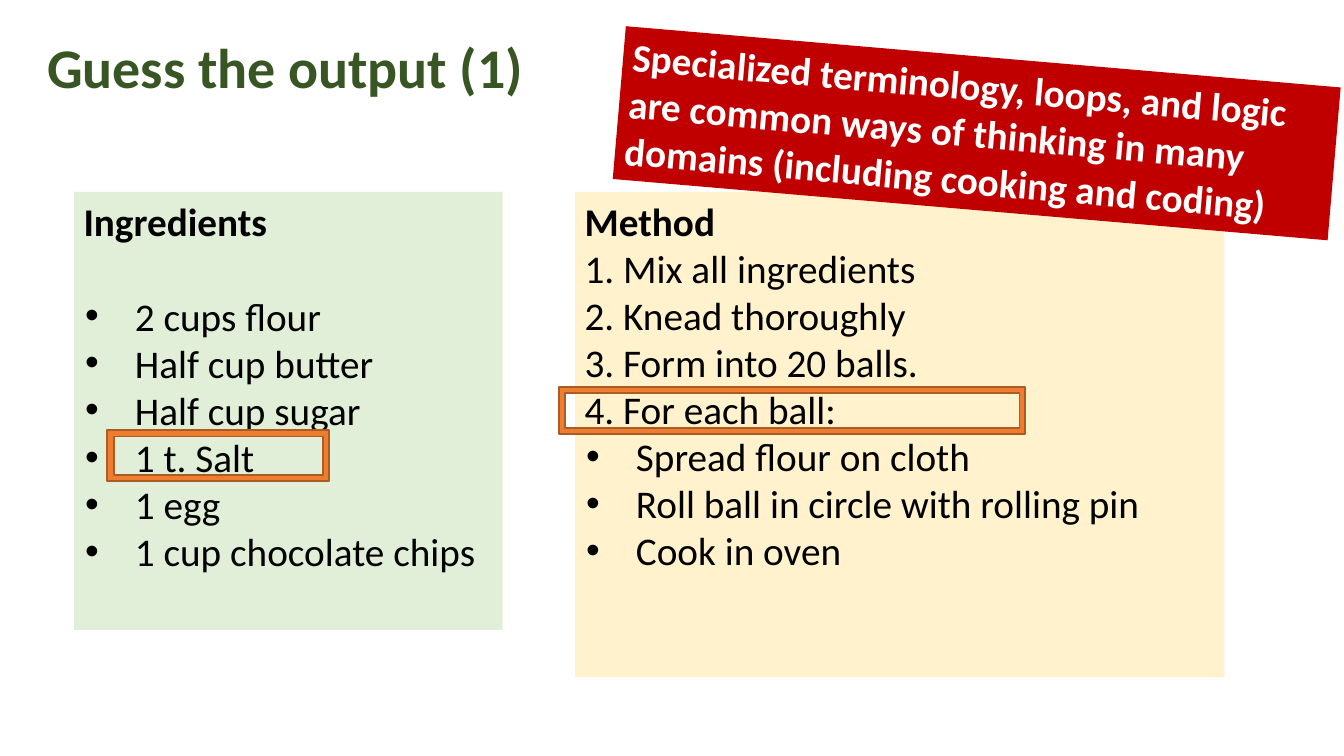
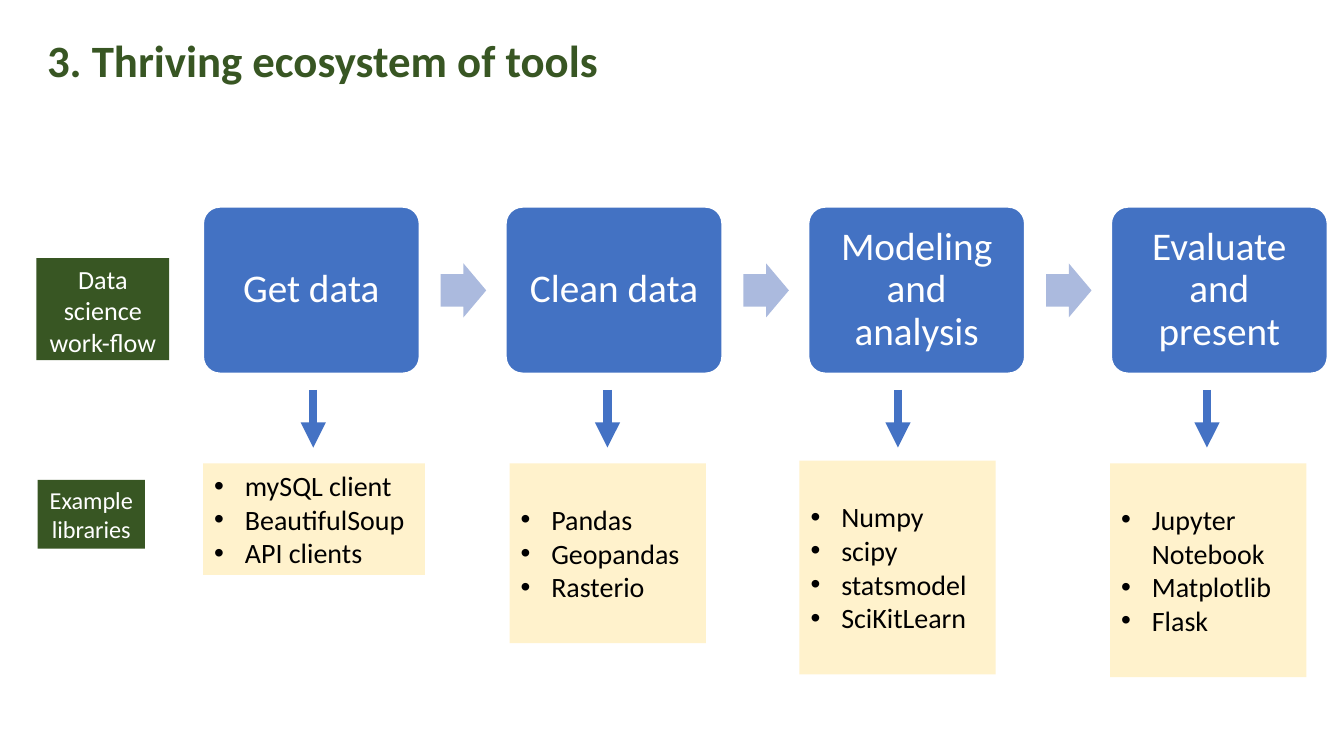
from lxml import etree
from pptx import Presentation
from pptx.dml.color import RGBColor
from pptx.enum.shapes import MSO_CONNECTOR, MSO_SHAPE
from pptx.enum.text import MSO_ANCHOR, PP_ALIGN
from pptx.oxml.ns import qn
from pptx.util import Cm, Pt

RECT = MSO_SHAPE.RECTANGLE
ROUND = MSO_SHAPE.ROUNDED_RECTANGLE
FRAME = MSO_SHAPE.FRAME
ARROW = MSO_SHAPE.RIGHT_ARROW
LINE = MSO_CONNECTOR.STRAIGHT
TOP, MIDDLE = MSO_ANCHOR.TOP, MSO_ANCHOR.MIDDLE
LEFT, CENTER = PP_ALIGN.LEFT, PP_ALIGN.CENTER

FONT = "Calibri"
BLACK = RGBColor(0x00, 0x00, 0x00)
WHITE = RGBColor(0xFF, 0xFF, 0xFF)
GREEN = RGBColor(0x38, 0x56, 0x23)
MINT = RGBColor(0xE1, 0xEF, 0xD8)
CREAM = RGBColor(0xFF, 0xF2, 0xCC)
RED = RGBColor(0xC0, 0x00, 0x00)
ORANGE = RGBColor(0xED, 0x7D, 0x31)
BROWN = RGBColor(0xAC, 0x5B, 0x23)
BLUE = RGBColor(0x43, 0x72, 0xC3)
PALE = RGBColor(0xAB, 0xBA, 0xDE)
NAVY = RGBColor(0x44, 0x72, 0xC4)


def draw(slide, kind, x, y, w, h, fill, line=None):
    shape = slide.shapes.add_shape(kind, Cm(x), Cm(y), Cm(w), Cm(h))
    shape.shadow.inherit = False
    shape.fill.solid()
    shape.fill.fore_color.rgb = fill
    if line is None:
        shape.line.fill.background()
    else:
        shape.line.color.rgb = line
        shape.line.width = Pt(1)
    return shape


def write(shape, lines, size, color=BLACK, bold=0, align=LEFT,
          first=None, indent=(0.97, -0.94)):
    frame = shape.text_frame
    frame.word_wrap = True
    frame.vertical_anchor = TOP
    frame.margin_left = frame.margin_right = Cm(0.18)
    frame.margin_top = frame.margin_bottom = Cm(0.1)
    for i, text in enumerate(lines):
        para = frame.paragraphs[0] if i == 0 else frame.add_paragraph()
        para.text = text
        para.alignment = align
        if first is not None and i >= first:
            props = para._p.get_or_add_pPr()
            props.set("marL", str(Cm(indent[0])))
            props.set("indent", str(Cm(indent[1])))
            tint = etree.SubElement(props, qn("a:buClr"))
            etree.SubElement(tint, qn("a:srgbClr"), val=str(BLACK))
            etree.SubElement(props, qn("a:buFont"), typeface="Arial")
            etree.SubElement(props, qn("a:buChar"), char="•")
        para.font.name = FONT
        para.font.size = Pt(size)
        para.font.color.rgb = color
        para.font.bold = i < bold
    return frame


deck = Presentation()
deck.slide_width, deck.slide_height = Cm(25.4), Cm(14.29)

pages = []
for title, size, w, h in [
    ("Guess the output (1)", 30, 9.47, 1.47),
    ("3. Thriving ecosystem of tools", 24, 10.9, 1.22),
]:
    page = deck.slides.add_slide(deck.slide_layouts[6])
    box = page.shapes.add_textbox(Cm(0.71), Cm(0.51), Cm(w), Cm(h))
    write(box, [title], size, GREEN, bold=1)
    pages.append(page)
recipe, tools = pages

goods = draw(recipe, RECT, 1.4, 3.63, 8.1, 8.28, MINT)
frame = write(goods, [
    "Ingredients", "2 cups flour", "Half cup butter", "Half cup sugar",
    "1 t. Salt", "1 egg", "1 cup chocolate chips",
], 21, bold=1, first=1)
frame.paragraphs[0].space_after = Pt(25.5)

method = draw(recipe, RECT, 10.87, 3.63, 12.27, 9.17, CREAM)
write(method, [
    "Method", "1. Mix all ingredients", "2. Knead thoroughly",
    "3. Form into 20 balls.", "4. For each ball:", "Spread flour on cloth",
    "Roll ball in circle with rolling pin", "Cook in oven",
], 21, bold=1, first=5)

for x, y, w, h in [(2.03, 8.13, 4.19, 0.97), (10.57, 7.32, 8.81, 0.89)]:
    draw(recipe, FRAME, x, y, w, h, ORANGE, BROWN)

note = draw(recipe, RECT, 11.68, 1.07, 13.56, 2.9, RED)
note.rotation = 4.9
write(note, [
    "Specialized terminology, loops, and logic are common ways of thinking "
    "in many domains (including cooking and coding)",
], 21, WHITE, bold=1)

stages = ["Get data", "Clean data", "Modeling and analysis",
          "Evaluate and present"]
for i, stage in enumerate(stages):
    x = 3.84 + i * 5.72
    step = draw(tools, ROUND, x, 3.91, 4.09, 3.15, BLUE, WHITE)
    step.adjustments[0] = 0.1
    frame = write(step, [stage], 21, WHITE, align=CENTER)
    frame.vertical_anchor = MIDDLE
    frame.margin_left = frame.margin_right = Cm(0.32)
    frame.paragraphs[0].line_spacing = 0.9
    if i < len(stages) - 1:
        arrow = draw(tools, ARROW, x + 4.49, 4.98, 0.86, 1.02, PALE)
        arrow.adjustments[0] = 0.6

for x, y, w, h, pad, mid, names in [
    (3.84, 8.76, 4.19, 2.11, 0.1, 5.92,
     ["mySQL client", "BeautifulSoup", "API clients"]),
    (9.63, 8.76, 3.71, 3.4, 0.74, 11.48,
     ["Pandas", "Geopandas", "Rasterio"]),
    (15.11, 8.71, 3.71, 4.04, 0.74, 16.97,
     ["Numpy", "scipy", "statsmodel", "SciKitLearn"]),
    (20.98, 8.76, 3.71, 4.04, 0.74, 22.81,
     ["Jupyter Notebook", "Matplotlib", "Flask"]),
]:
    card = draw(tools, RECT, x, y, w, h, CREAM)
    frame = write(card, names, 15, first=0, indent=(0.61, -0.58))
    frame.margin_top = Cm(pad)
    link = tools.shapes.add_connector(LINE, Cm(mid), Cm(7.37), Cm(mid), Cm(8.46))
    link.line.color.rgb = NAVY
    link.line.width = Pt(4.5)
    etree.SubElement(link.line._get_or_add_ln(), qn("a:tailEnd"), type="triangle")
    etree.SubElement(link._element.spPr, qn("a:effectLst"))

for text, size, x, y, w, h in [
    ("Data science work-flow", 14, 0.69, 4.88, 2.51, 1.93),
    ("Example libraries", 13, 0.71, 9.07, 2.03, 1.3),
]:
    label = draw(tools, RECT, x, y, w, h, GREEN)
    write(label, [text], size, WHITE, align=CENTER)

deck.save("out.pptx")
